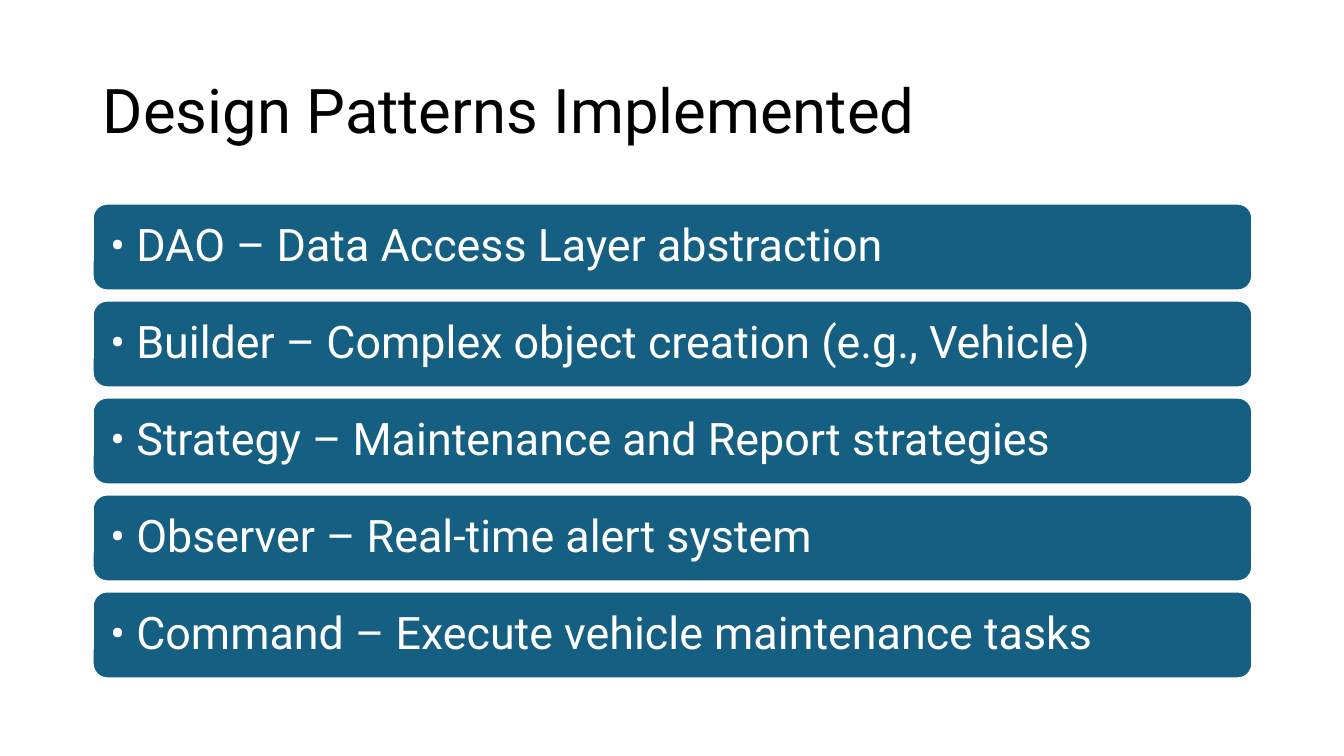
from pptx import Presentation
from pptx.dml.color import RGBColor
from pptx.enum.shapes import MSO_SHAPE
from pptx.enum.text import MSO_ANCHOR, PP_ALIGN
from pptx.util import Inches, Pt

COLORS = {"title": "000000", "bar": "156082", "light": "FFFFFF"}
FONT = "Roboto"
PATTERNS = [
    "DAO – Data Access Layer abstraction",
    "Builder – Complex object creation (e.g., Vehicle)",
    "Strategy – Maintenance and Report strategies",
    "Observer – Real-time alert system",
    "Command – Execute vehicle maintenance tasks",
]

# Regions as left, top, width, height in inches
TITLE_BOX = (0.92, 0.4, 11.5, 1.45)
PATTERNS_BOX = (0.92, 2.02, 11.5, 4.71)
BAR_GAP = 0.1


def color(name):
    return RGBColor.from_string(COLORS[name])


def set_text(frame, text, size, color_name):
    frame.text = text
    frame.word_wrap = True
    frame.vertical_anchor = MSO_ANCHOR.MIDDLE
    paragraph = frame.paragraphs[0]
    paragraph.alignment = PP_ALIGN.LEFT
    paragraph.line_spacing = 0.9
    paragraph.font.name = FONT
    paragraph.font.size = Pt(size)
    paragraph.font.color.rgb = color(color_name)


def place_title(slide, box):
    title = slide.shapes.title
    title.left, title.top, title.width, title.height = map(Inches, box)
    set_text(title.text_frame, "Design Patterns Implemented", 44, "title")


def place_patterns(slide, box):
    left, top, width, height = box
    bar_height = (height - BAR_GAP * (len(PATTERNS) - 1)) / len(PATTERNS)
    for row, pattern in enumerate(PATTERNS):
        bar_top = top + row * (bar_height + BAR_GAP)
        bar = slide.shapes.add_shape(
            MSO_SHAPE.ROUNDED_RECTANGLE,
            *map(Inches, (left, bar_top, width, bar_height)))
        bar.shadow.inherit = False
        bar.fill.solid()
        bar.fill.fore_color.rgb = color("bar")
        bar.line.color.rgb = color("light")
        bar.line.width = Pt(1.5)
        label = bar.text_frame
        label.margin_left = label.margin_right = Inches(0.13)
        set_text(label, f"• {pattern}", 32, "light")


def main():
    deck = Presentation()
    deck.slide_width, deck.slide_height = Inches(13.33), Inches(7.5)
    slide = deck.slides.add_slide(deck.slide_layouts[5])  # title only
    place_title(slide, TITLE_BOX)
    place_patterns(slide, PATTERNS_BOX)
    deck.save("out.pptx")


if __name__ == "__main__":
    main()
